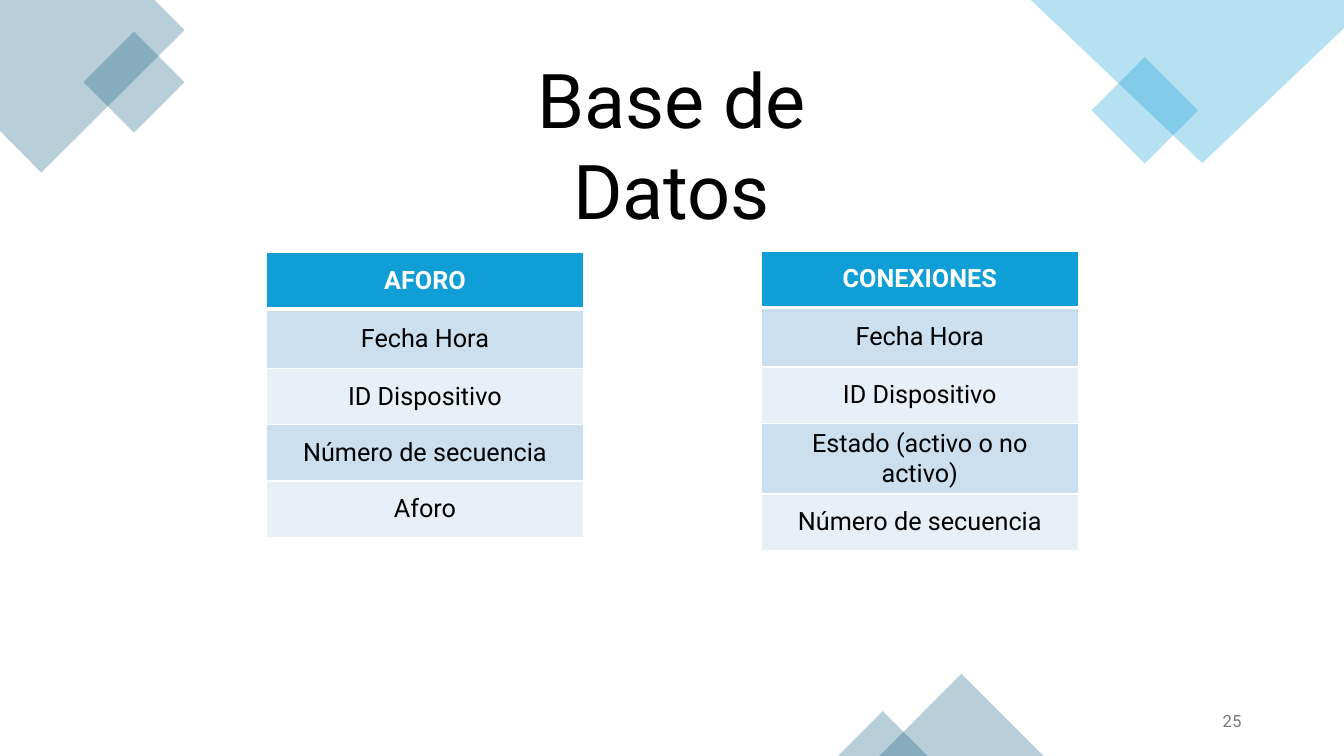
from lxml import etree
from pptx import Presentation
from pptx.dml.color import RGBColor
from pptx.enum.shapes import MSO_SHAPE
from pptx.enum.text import MSO_ANCHOR, MSO_AUTO_SIZE, PP_ALIGN
from pptx.oxml.ns import qn
from pptx.util import Cm, Pt

SQUARE, TRIANGLE = MSO_SHAPE.RECTANGLE, MSO_SHAPE.ISOSCELES_TRIANGLE
CENTER, RIGHT = PP_ALIGN.CENTER, PP_ALIGN.RIGHT
TOP, MIDDLE = MSO_ANCHOR.TOP, MSO_ANCHOR.MIDDLE
GROW, FIXED = MSO_AUTO_SIZE.SHAPE_TO_FIT_TEXT, MSO_AUTO_SIZE.NONE

COLORS = {
    "teal": "156082",
    "blue": "0F9ED5",
    "band_dark": "CCDFEF",
    "band_light": "E7F0F7",
    "white": "FFFFFF",
    "black": "000000",
    "gray": "797979",
}


class SlideBuilder:
    font = "Roboto"
    opacity = 30

    def __init__(self, slide):
        self.slide = slide

    def color(self, name):
        return RGBColor.from_string(COLORS[name])

    def tint(self, shape, color):
        """Give a decoration its translucent fill, without line or shadow."""
        shape.shadow.inherit = False
        shape.line.fill.background()
        shape.fill.solid()
        shape.fill.fore_color.rgb = self.color(color)
        rgb = shape.fill._xPr.find(qn("a:solidFill")).find(qn("a:srgbClr"))
        etree.SubElement(rgb, qn("a:alpha"), val=str(self.opacity * 1000))

    def decoration(self, kind, left, top, width, height, color, rotation=0):
        shape = self.slide.shapes.add_shape(
            kind, Cm(left), Cm(top), Cm(width), Cm(height))
        shape.rotation = rotation
        self.tint(shape, color)

    def polygon(self, points, color):
        corners = [(Cm(x), Cm(y)) for x, y in points]
        outline = self.slide.shapes.build_freeform(*corners[0], scale=1.0)
        outline.add_line_segments(corners[1:], close=True)
        self.tint(outline.convert_to_shape(), color)

    def add_words(self, frame, words, size, color, align, bold=False):
        paragraph = frame.paragraphs[0]
        paragraph.alignment = align
        run = paragraph.add_run()
        run.text = words
        run.font.name = self.font
        run.font.size = Pt(size)
        run.font.bold = bold
        run.font.color.rgb = self.color(color)

    def text(self, words, left, top, width, height, size, color, align,
             anchor=TOP, fit=FIXED):
        frame = self.slide.shapes.add_textbox(
            Cm(left), Cm(top), Cm(width), Cm(height)).text_frame
        frame.word_wrap = True
        frame.auto_size = fit
        frame.vertical_anchor = anchor
        self.add_words(frame, words, size, color, align)

    def borders(self, cell, top, bottom):
        """Draw white borders; side borders are always 1 pt."""
        properties = cell._tc.get_or_add_tcPr()
        for side, points in (("L", 1), ("R", 1), ("T", top), ("B", bottom)):
            line = etree.SubElement(
                properties, qn(f"a:ln{side}"), w=str(Pt(points)))
            fill = etree.SubElement(line, qn("a:solidFill"))
            etree.SubElement(fill, qn("a:srgbClr"), val=COLORS["white"])

    def entity(self, name, fields, left, top, width=8.0):
        """Draw a database table: its name above its banded fields."""
        rows = [name, *fields]
        heights = [1.42, 1.5] + [1.42] * (len(rows) - 2)
        table = self.slide.shapes.add_table(
            len(rows), 1, Cm(left), Cm(top), Cm(width), Cm(sum(heights))).table
        table.columns[0].width = Cm(width)
        for index, (label, height) in enumerate(zip(rows, heights)):
            table.rows[index].height = Cm(height)
            header = index == 0
            band = "band_dark" if index % 2 else "band_light"
            cell = table.cell(index, 0)
            cell.vertical_anchor = MIDDLE
            self.borders(cell, 3 if index == 1 else 1, 3 if header else 1)
            cell.fill.solid()
            cell.fill.fore_color.rgb = self.color("blue" if header else band)
            self.add_words(cell.text_frame, label, 18,
                           "white" if header else "black", CENTER, header)


def main():
    deck = Presentation()
    deck.slide_width, deck.slide_height = Cm(33.87), Cm(19.05)
    page = SlideBuilder(deck.slides.add_slide(deck.slide_layouts[6]))

    page.polygon(
        [(0, 0), (3.89, 0), (4.65, 0.76), (1.04, 4.35), (0, 3.3)], "teal")
    page.decoration(SQUARE, 2.48, 1.17, 1.8, 1.8, "teal", 315)
    page.decoration(SQUARE, 27.9, 1.83, 1.9, 1.9, "blue", 315)
    page.polygon(
        [(33.87, 0), (25.98, 0), (30.3, 4.11), (33.87, 0.71)], "blue")
    page.decoration(TRIANGLE, 22.16, 16.98, 4.14, 2.07, "teal")
    page.decoration(TRIANGLE, 21.12, 17.92, 2.26, 1.13, "teal")

    page.text("Base de Datos", 10.7, 1.22, 12.45, 2.56, 54, "black", CENTER,
              fit=GROW)
    page.entity("AFORO", ["Fecha Hora", "ID Dispositivo",
                          "Número de secuencia", "Aforo"], 6.71, 6.36)
    page.entity("CONEXIONES", ["Fecha Hora", "ID Dispositivo",
                               "Estado (activo o no activo)",
                               "Número de secuencia"], 19.18, 6.33)
    page.text("25", 23.92, 17.66, 7.62, 1.01, 12, "gray", RIGHT, MIDDLE)

    deck.save("out.pptx")


if __name__ == "__main__":
    main()
